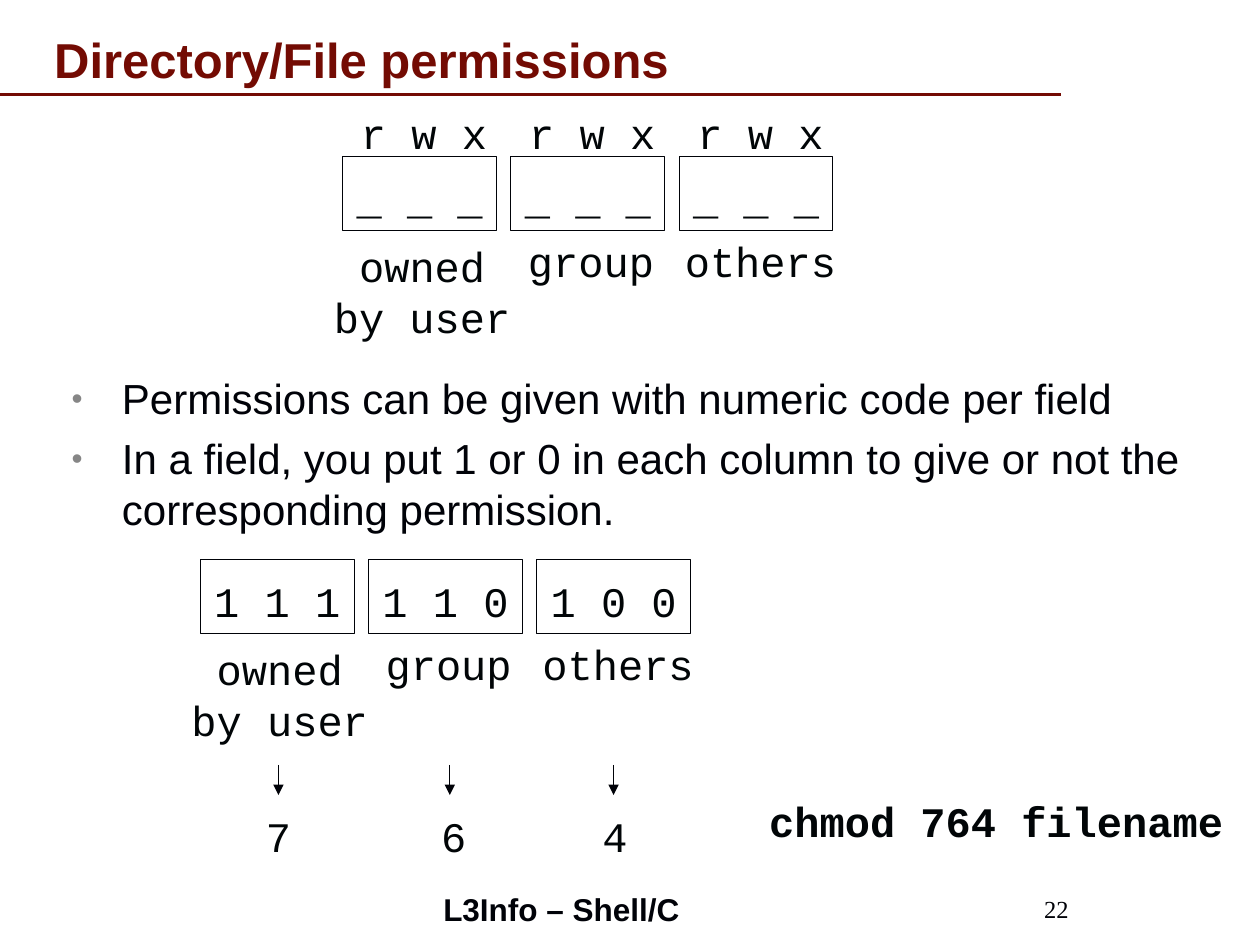
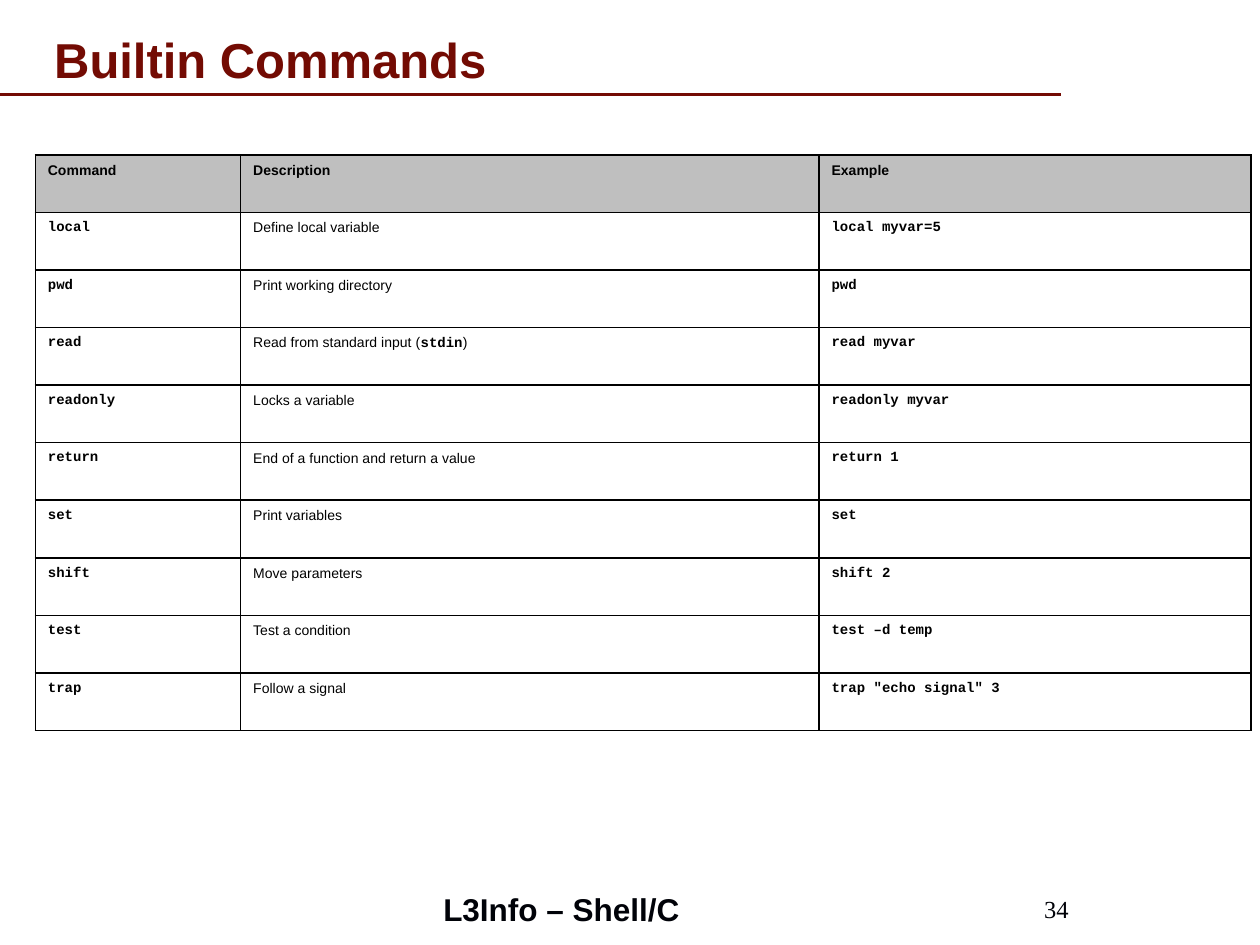
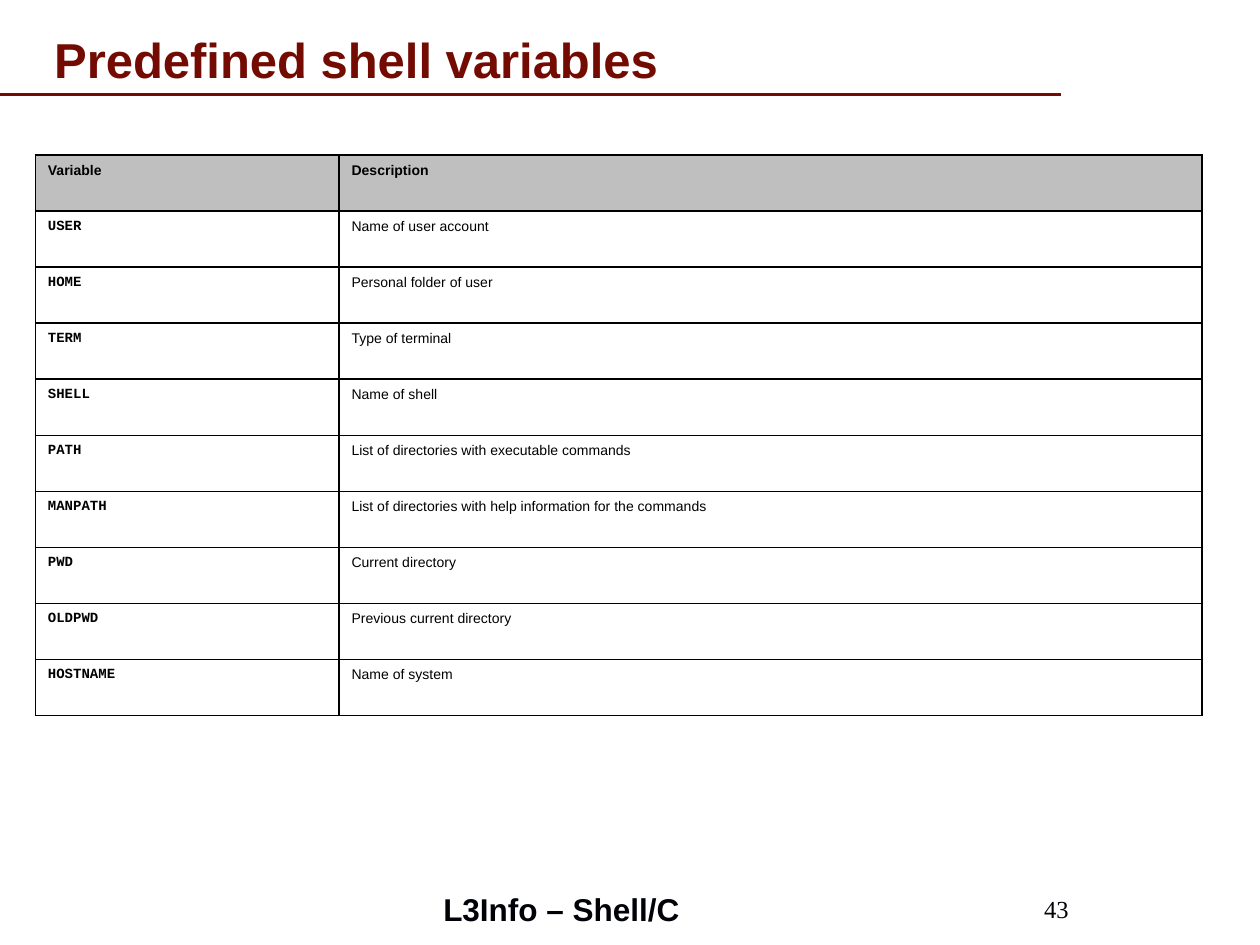
from lxml import etree
from pptx import Presentation
from pptx.dml.color import RGBColor
from pptx.enum import shapes, text
from pptx.oxml import ns
from pptx.util import Inches, Pt

COLORS = {"maroon": "730B03", "ink": "000208", "code": "010507", "bullet": "868686",
          "black": "000000", "header": "BFBFBF", "white": "FFFFFF"}
SANS, MONO, SERIF = "Arial", "Courier New", "Times New Roman"
FOOTER = "L3Info – Shell/C"

PERMISSION_BULLETS = [
    "Permissions can be given with numeric code per field",
    "In a field, you put 1 or 0 in each column to give or not the corresponding permission.",
]
# text, offset from its field box, size
FIELD_LABELS = [
    ("owned by user", (-0.26, 0.55), (1.78, 0.91)),
    ("group", (0.03, 0.51), (1.21, 0.5)),
    ("others", (-0.06, 0.51), (1.41, 0.5)),
]
FIELD_PITCH = 1.335
# digit, digit centre, arrow position
OCTAL_DIGITS = [("7", 2.21, 2.21), ("6", 3.6, 3.57), ("4", 4.88, 4.87)]

# a tuple alternates plain and code text
BUILTIN_COMMANDS = [
    ("Command", "Description", "Example"),
    ("local", "Define local variable", "local myvar=5"),
    ("pwd", "Print working directory", "pwd"),
    ("read", ("Read from standard input (", "stdin", ")"), "read myvar"),
    ("readonly", "Locks a variable", "readonly myvar"),
    ("return", "End of a function and return a value", "return 1"),
    ("set", "Print variables", "set"),
    ("shift", "Move parameters", "shift 2"),
    ("test", "Test a condition", "test –d temp"),
    ("trap", "Follow a signal", 'trap "echo signal" 3'),
]
SHELL_VARIABLES = [
    ("Variable", "Description"),
    ("USER", "Name of user account"),
    ("HOME", "Personal folder of user"),
    ("TERM", "Type of terminal"),
    ("SHELL", "Name of shell"),
    ("PATH", "List of directories with executable commands"),
    ("MANPATH", "List of directories with help information for the commands"),
    ("PWD", "Current directory"),
    ("OLDPWD", "Previous current directory"),
    ("HOSTNAME", "Name of system"),
]


def rgb(name):
    return RGBColor.from_string(COLORS[name])


def add_run(paragraph, words, font, size, color, bold=False):
    run = paragraph.add_run()
    run.text = words
    run.font.name, run.font.size, run.font.bold = font, Pt(size), bold
    run.font.color.rgb = rgb(color)


def set_frame(frame, anchor, wrap=True, top=0.05):
    frame.word_wrap = wrap
    frame.vertical_anchor = anchor
    frame.margin_left = frame.margin_right = Inches(0.1)
    frame.margin_top, frame.margin_bottom = Inches(top), Inches(0.05)


def add_text(slide, box, anchor=text.MSO_ANCHOR.TOP, **frame_options):
    """Add a text box and return its frame."""
    frame = slide.shapes.add_textbox(*map(Inches, box)).text_frame
    set_frame(frame, anchor, **frame_options)
    return frame


def add_line(slide, start, end, color, width, arrow=False):
    line = slide.shapes.add_connector(shapes.MSO_CONNECTOR.STRAIGHT, *map(Inches, start + end))
    line.line.color.rgb = rgb(color)
    line.line.width = Pt(width)
    if arrow:
        etree.SubElement(line.line._get_or_add_ln(), ns.qn("a:tailEnd"), type="triangle")
    etree.SubElement(line._element.spPr, ns.qn("a:effectLst"))


def add_slide(presentation, title, number):
    """Add a slide with the shared title, rule and footer."""
    slide = presentation.slides.add_slide(presentation.slide_layouts[5])
    add_line(slide, (0, 0.75), (8.42, 0.75), "maroon", 2.25)

    heading = slide.shapes.title
    heading.left, heading.top, heading.width, heading.height = map(Inches, (0.33, 0.17, 8.5, 0.58))
    set_frame(heading.text_frame, text.MSO_ANCHOR.BOTTOM)
    heading.text_frame.auto_size = text.MSO_AUTO_SIZE.NONE
    paragraph = heading.text_frame.paragraphs[0]
    paragraph.alignment = text.PP_ALIGN.LEFT
    add_run(paragraph, title, SANS, 28, "maroon", True)

    footer = add_text(slide, (3.42, 7, 3.17, 0.42), text.MSO_ANCHOR.MIDDLE)
    add_run(footer.paragraphs[0], FOOTER, SANS, 18, "ink", True)
    page = add_text(slide, (6.93, 7, 1.65, 0.42), text.MSO_ANCHOR.MIDDLE).paragraphs[0]
    page.alignment = text.PP_ALIGN.RIGHT
    add_run(page, str(number), SERIF, 14, "ink")
    return slide


def add_code(frame, words, bold=False):
    paragraph = frame.paragraphs[0]
    paragraph.alignment = text.PP_ALIGN.CENTER
    add_run(paragraph, words, MONO, 24, "code", bold)


def add_code_label(slide, words, box, wrap=False, bold=False):
    add_code(add_text(slide, box, wrap=wrap, top=0.12), words, bold)


def add_fields(slide, left, top, contents, heading=None):
    """Draw the three permission fields with their labels."""
    for index, (content, (label, offset, size)) in enumerate(zip(contents, FIELD_LABELS)):
        x = left + index * FIELD_PITCH
        field = slide.shapes.add_shape(shapes.MSO_SHAPE.RECTANGLE,
                                       *map(Inches, (x, top, 1.22, 0.59)))
        field.shadow.inherit = False
        field.fill.background()
        field.line.color.rgb = rgb("ink")
        field.line.width = Pt(0.5)
        set_frame(field.text_frame, text.MSO_ANCHOR.MIDDLE, wrap=False, top=0.12)
        add_code(field.text_frame, content)
        if heading:
            add_code_label(slide, heading, (x + 0.04, top - 0.51, 1.21, 0.5))
        add_code_label(slide, label, (x + offset[0], top + offset[1], *size), wrap=index == 0)


def add_bullets(slide, box, items):
    frame = add_text(slide, box, top=0.12)
    for index, item in enumerate(items):
        paragraph = frame.add_paragraph() if index else frame.paragraphs[0]
        properties = paragraph._p.get_or_add_pPr()
        properties.set("marL", str(Inches(0.4)))
        properties.set("indent", str(-Inches(0.4)))
        color = etree.SubElement(properties, ns.qn("a:buClr"))
        etree.SubElement(color, ns.qn("a:srgbClr"), val=COLORS["bullet"])
        etree.SubElement(properties, ns.qn("a:buSzPct"), val="75000")
        etree.SubElement(properties, ns.qn("a:buFont"), typeface=SANS)
        etree.SubElement(properties, ns.qn("a:buChar"), char="•")
        if index:
            paragraph.space_before = Pt(5.5)
        add_run(paragraph, item, SANS, 24, "ink")


def set_borders(cell):
    properties = cell._tc.get_or_add_tcPr()
    for side in ("lnL", "lnR", "lnT", "lnB"):
        border = etree.SubElement(properties, ns.qn(f"a:{side}"), w=str(Pt(1)))
        fill = etree.SubElement(border, ns.qn("a:solidFill"))
        etree.SubElement(fill, ns.qn("a:srgbClr"), val=COLORS["black"])


def add_reference_table(slide, rows, widths, height):
    """Add a table whose description column is plain and whose others are code."""
    table = slide.shapes.add_table(len(rows), len(widths), Inches(0.28), Inches(1.23),
                                   Inches(sum(widths)), Inches(height)).table
    table.first_row = table.horz_banding = False
    for column, width in zip(table.columns, widths):
        column.width = Inches(width)
    for row_index, row in enumerate(rows):
        table.rows[row_index].height = Inches(height / len(rows))
        for column_index, content in enumerate(row):
            cell = table.cell(row_index, column_index)
            set_borders(cell)
            cell.fill.solid()
            cell.fill.fore_color.rgb = rgb("white" if row_index else "header")
            cell.margin_top = Inches(0.06)
            pieces = (content,) if isinstance(content, str) else content
            for piece_index, piece in enumerate(pieces):
                is_code = row_index > 0 and (column_index != 1 or piece_index % 2 == 1)
                add_run(cell.text_frame.paragraphs[0], piece, MONO if is_code else SANS,
                        8, "black", is_code or row_index == 0)


def build_permissions(presentation):
    slide = add_slide(presentation, "Directory/File permissions", 22)
    add_bullets(slide, (0.47, 2.84, 9.37, 1.46), PERMISSION_BULLETS)
    add_fields(slide, 2.72, 1.24, ["_ _ _"] * 3, heading="r w x")
    add_fields(slide, 1.59, 4.44, ["1 1 1", "1 1 0", "1 0 0"])
    for digit, center, arrow in OCTAL_DIGITS:
        add_code_label(slide, digit, (center - 0.51, 6.31, 1.02, 0.5), wrap=True)
        add_line(slide, (arrow, 6.07), (arrow, 6.31), "ink", 0.5, arrow=True)
    add_code_label(slide, "chmod 764 filename", (5.99, 6.19, 3.83, 0.5), bold=True)


def main():
    presentation = Presentation()
    presentation.slide_width, presentation.slide_height = Inches(10), Inches(7.5)
    build_permissions(presentation)
    add_reference_table(add_slide(presentation, "Builtin Commands", 34),
                        BUILTIN_COMMANDS, (1.63, 4.59, 3.43), 4.57)
    add_reference_table(add_slide(presentation, "Predefined shell variables", 43),
                        SHELL_VARIABLES, (2.41, 6.85), 4.45)
    presentation.save("out.pptx")


if __name__ == "__main__":
    main()
